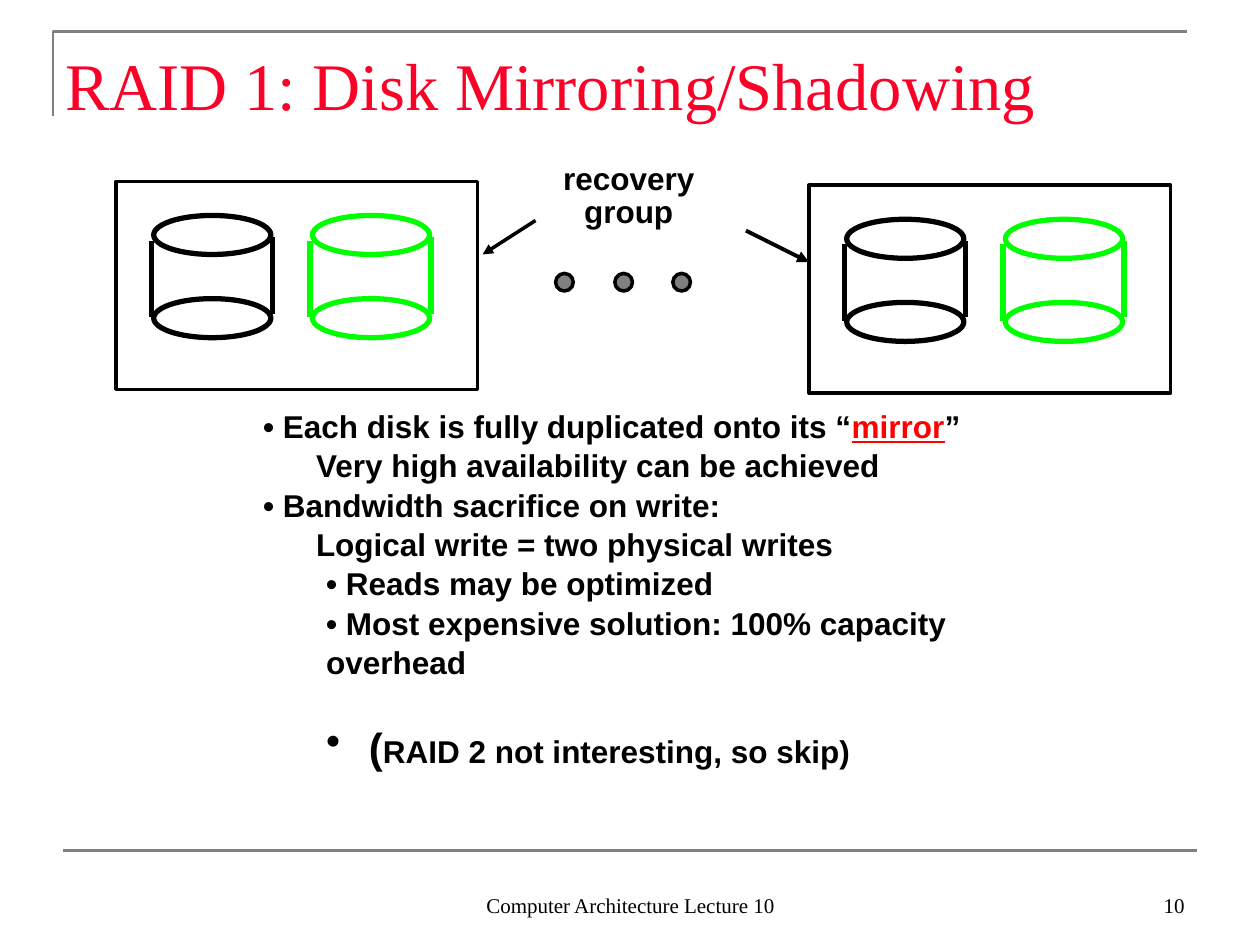
from dataclasses import dataclass
from lxml import etree
from pptx import Presentation
from pptx.dml.color import RGBColor
from pptx.enum.shapes import MSO_CONNECTOR, MSO_SHAPE
from pptx.enum.text import MSO_ANCHOR, PP_ALIGN
from pptx.oxml.ns import qn
from pptx.util import Inches, Pt


@dataclass(frozen=True)
class Theme:
    black: str = "000000"
    white: str = "FFFFFF"
    gray: str = "808080"
    mirror: str = "00FF00"
    title: str = "FC0128"
    accent: str = "FF0000"
    serif: str = "Times New Roman"
    sans: str = "Arial"
    title_size: int = 38
    body_size: int = 18
    paren_size: int = 24
    footer_size: int = 12


theme = Theme()
prs = Presentation()
prs.slide_width, prs.slide_height = Inches(10), Inches(7.5)
slide = prs.slides.add_slide(prs.slide_layouts[6])
shapes = slide.shapes


def add_line(start, end, color, width, arrow=False):
    line = shapes.add_connector(MSO_CONNECTOR.STRAIGHT,
                                *[Inches(v) for v in (*start, *end)])
    line.line.color.rgb = RGBColor.from_string(color)
    line.line.width = Pt(width)
    properties = line.line._get_or_add_ln()
    if arrow:
        etree.SubElement(properties, qn("a:tailEnd"), type="triangle")
    etree.SubElement(properties.getparent(), qn("a:effectLst"))


def add_outline(kind, box, fill, color, width):
    outline = shapes.add_shape(kind, *[Inches(v) for v in box])
    outline.shadow.inherit = False
    if fill:
        outline.fill.solid()
        outline.fill.fore_color.rgb = RGBColor.from_string(fill)
    else:
        outline.fill.background()
    outline.line.color.rgb = RGBColor.from_string(color)
    outline.line.width = Pt(width)


# Frame: corner rule at the top, line above the footer
corner = shapes.build_freeform(Inches(0.42), Inches(0.92))
corner.add_line_segments([(Inches(0.42), Inches(0.25)),
                          (Inches(9.42), Inches(0.25))], close=False)
corner_rule = corner.convert_to_shape()
corner_rule.shadow.inherit = False
corner_rule.fill.background()
corner_rule.line.color.rgb = RGBColor.from_string(theme.gray)
corner_rule.line.width = Pt(1.5)
add_line((0.5, 6.75), (9.5, 6.75), theme.gray, 1.5)

# Recovery groups: a disk and its mirror in each box
for left, top in ((6.42, 1.47), (0.92, 1.44)):
    for offset, color in ((0.3, theme.black), (1.56, theme.mirror)):
        x, y = left + offset, top + 0.27
        for rim in (y, y + 0.66):
            add_outline(MSO_SHAPE.OVAL, (x, rim, 0.93, 0.31),
                        theme.white, color, 3)
        for side, start in ((x - 0.02, y + 0.2), (x + 0.94, y + 0.17)):
            add_line((side, start), (side, start + 0.61), color, 3)
    add_outline(MSO_SHAPE.RECTANGLE, (left, top, 2.87, 1.65),
                None, theme.black, 2)

# Dots between the groups, arrows from the label
for x in (4.41, 4.88, 5.34):
    add_outline(MSO_SHAPE.OVAL, (x, 2.17, 0.14, 0.14),
                theme.gray, theme.black, 2)
add_line((4.25, 1.75), (3.83, 2.02), theme.black, 2, arrow=True)
add_line((5.92, 1.83), (6.42, 2.08), theme.black, 2.25, arrow=True)

# Title, label and footer: box, anchor, alignment, spacing, font, size, bold, color
labels = [
    (["RAID 1: Disk Mirroring/Shadowing"], (0.42, 0.25, 9.57, 0.83),
     MSO_ANCHOR.MIDDLE, PP_ALIGN.LEFT, 1.0,
     theme.serif, theme.title_size, False, theme.title),
    (["recovery", "group"], (4.37, 1.25, 1.24, 0.61),
     MSO_ANCHOR.TOP, PP_ALIGN.CENTER, 0.88,
     theme.sans, theme.body_size, True, theme.black),
    (["10"], (7.17, 6.83, 2.33, 0.5),
     MSO_ANCHOR.BOTTOM, PP_ALIGN.RIGHT, 1.0,
     theme.serif, theme.footer_size, False, theme.black),
    (["Computer Architecture Lecture 10"], (3.42, 6.83, 3.17, 0.5),
     MSO_ANCHOR.BOTTOM, PP_ALIGN.CENTER, 1.0,
     theme.serif, theme.footer_size, False, theme.black),
]
for lines, box, anchor, align, spacing, font, size, bold, color in labels:
    frame = shapes.add_textbox(*[Inches(v) for v in box]).text_frame
    frame.word_wrap = True
    frame.vertical_anchor = anchor
    for i, text in enumerate(lines):
        paragraph = frame.add_paragraph() if i else frame.paragraphs[0]
        paragraph.alignment = align
        paragraph.line_spacing = spacing
        run = paragraph.add_run()
        run.text = text
        run.font.name, run.font.size, run.font.bold = font, Pt(size), bold
        run.font.color.rgb = RGBColor.from_string(color)

# Properties of mirroring: left margin, first-line indent, bulleted, space before, runs
plain = (theme.body_size, theme.black, False)
points = [
    (0, 0, False, 0, [("•\u00a0Each disk is fully duplicated onto its “", *plain),
                      ("mirror", theme.body_size, theme.accent, True),
                      ("”", *plain)]),
    (0.42, 0, False, 0, [("Very high availability can be achieved", *plain)]),
    (0, 0, False, 0, [("• Bandwidth sacrifice on write:", *plain)]),
    (0.42, 0, False, 0, [("Logical write = two physical writes", *plain)]),
    (0.5, 0, False, 0, [("• Reads may be optimized", *plain)]),
    (0.5, 0, False, 0, [("• Most expensive solution: 100% capacity overhead", *plain)]),
    (0.84, -0.34, True, 22, [("(", theme.paren_size, theme.black, False),
                             ("RAID 2 not interesting, so skip)", *plain)]),
]
body = shapes.add_textbox(Inches(1.99), Inches(3.17),
                          Inches(6.3), Inches(2.95)).text_frame
body.word_wrap = True
for i, (margin, indent, bulleted, before, runs) in enumerate(points):
    paragraph = body.add_paragraph() if i else body.paragraphs[0]
    properties = paragraph._p.get_or_add_pPr()
    properties.set("marL", str(Inches(margin)))
    properties.set("indent", str(Inches(indent)))
    if bulleted:
        etree.SubElement(properties, qn("a:buChar"), char="•")
    paragraph.line_spacing = 1.04
    if before:
        paragraph.space_before = Pt(before)
    for text, size, color, underlined in runs:
        run = paragraph.add_run()
        run.text = text
        run.font.name, run.font.size, run.font.bold = theme.sans, Pt(size), True
        run.font.color.rgb = RGBColor.from_string(color)
        if underlined:
            run.font.underline = True

prs.save("out.pptx")
